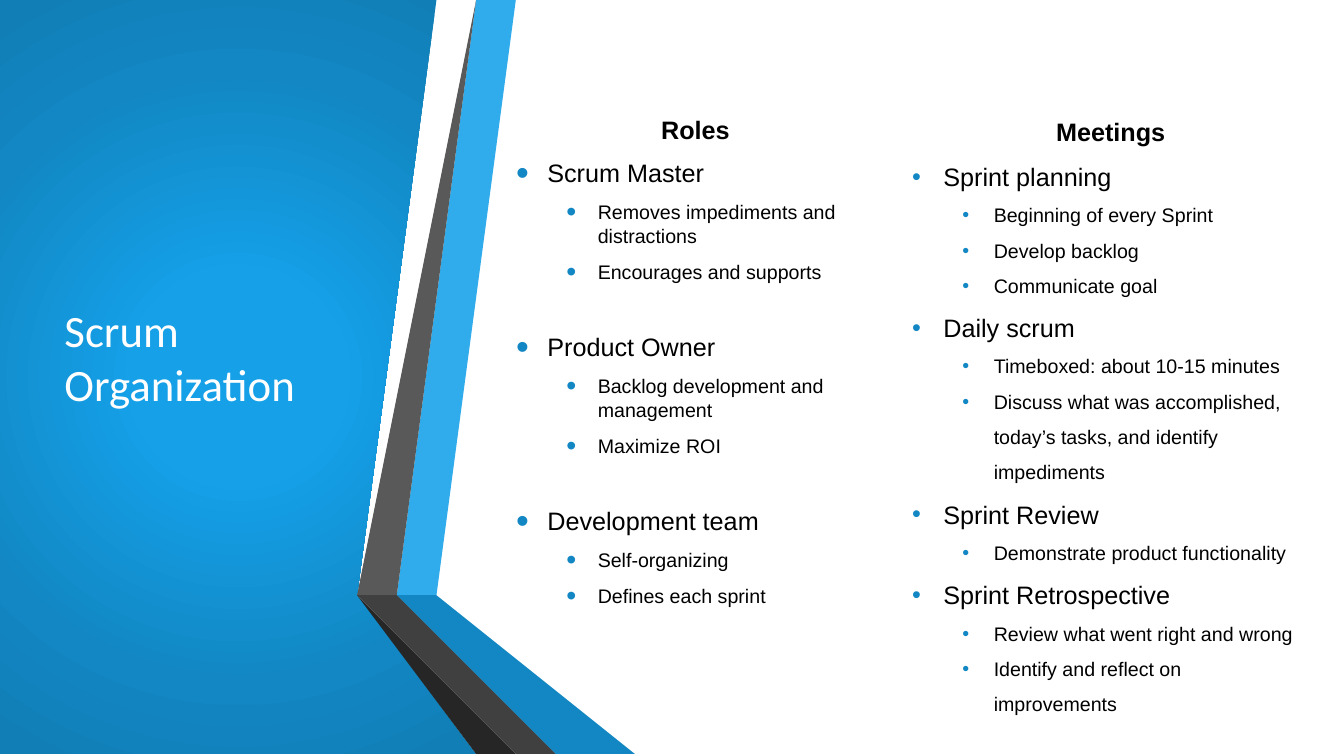
from lxml import etree
from pptx import Presentation
from pptx import util as u
from pptx.dml import color
from pptx.enum import text
from pptx.oxml import ns

WIDTH, HEIGHT = 33.87, 19.05
BLUE, BLACK, WHITE = "1287C3", "000000", "FFFFFF"
PANEL_STOPS = [(0, "15A0E8"), (23, "15A0E8"), (69, BLUE), (97, "117EB6")]

PANEL = [(0, 0), (11.4, 0), (9.04, 14.62), (12.24, HEIGHT), (0, HEIGHT)]
RIBBONS = [
    ("30ACEC", [(0.84, 14.68), (1.52, 14.81), (3.96, 0), (3.25, 0)]),
    ("595959", [(3.1, 0), (2.39, 0), (0, 14.55), (0.69, 14.66)]),
    ("262626", [(0, 14.55), (3.25, HEIGHT), (3.4, HEIGHT)]),
    ("0C5A82", [(0.84, 14.7), (4.88, HEIGHT), (5, HEIGHT)]),
    (BLUE, [(0.84, 14.7), (5, HEIGHT), (6.76, HEIGHT), (1.52, 14.81), (0.84, 14.68)]),
    ("404040", [(4.7, HEIGHT), (0.81, 14.81), (0.66, 14.68), (0.69, 14.66),
                (0, 14.55), (3.4, HEIGHT)]),
]

ROLES = [
    ("Scrum Master", ["Removes impediments and distractions", "Encourages and supports"]),
    ("Product Owner", ["Backlog development and management", "Maximize ROI"]),
    ("Development team", ["Self-organizing", "Defines each sprint"]),
]
MEETINGS = [
    ("Sprint planning", ["Beginning of every Sprint", "Develop backlog", "Communicate goal"]),
    ("Daily scrum", ["Timeboxed: about 10-15 minutes",
                     "Discuss what was accomplished, today’s tasks, and identify impediments"]),
    ("Sprint Review", ["Demonstrate product functionality"]),
    ("Sprint Retrospective", ["Review what went right and wrong",
                              "Identify and reflect on improvements"]),
]


def rgb(value):
    return color.RGBColor.from_string(value)


def add_child(parent, tag, **attributes):
    return etree.SubElement(parent, ns.qn(tag), {k: str(v) for k, v in attributes.items()})


def place(shape, box):
    shape.left, shape.top, shape.width, shape.height = (u.Cm(length) for length in box)


def draw_outline(slide, points, fill, left=0):
    moved = [(left + x, y) for x, y in points]
    builder = slide.shapes.build_freeform(*moved[0], scale=u.Cm(1))
    builder.add_line_segments(moved[1:], close=True)
    outline = builder.convert_to_shape()
    outline.shadow.inherit = False
    outline.line.fill.background()
    outline.fill.solid()
    outline.fill.fore_color.rgb = rgb(fill)
    return outline


def draw_panel(slide):
    panel = draw_outline(slide, PANEL, BLUE)
    solid = panel._element.spPr.find(ns.qn("a:solidFill"))
    gradient = etree.Element(ns.qn("a:gradFill"), rotWithShape="1")
    stops = add_child(gradient, "a:gsLst")
    for percent, shade in PANEL_STOPS:
        add_child(add_child(stops, "a:gs", pos=percent * 1000), "a:srgbClr", val=shade)
    circle = add_child(gradient, "a:path", path="circle")
    add_child(circle, "a:fillToRect", l=50000, t=50000, r=50000, b=50000)
    solid.getparent().replace(solid, gradient)
    slide.shapes._spTree.insert(2, panel._element)


def draw_ribbons(slide, left):
    for fill, points in RIBBONS:
        draw_outline(slide, points, fill, left)


def write_title(title, box):
    place(title, box)
    frame = title.text_frame
    frame.text = "Scrum Organization"
    frame.auto_size = text.MSO_AUTO_SIZE.NONE
    frame.vertical_anchor = text.MSO_ANCHOR.MIDDLE
    heading = frame.paragraphs[0]
    heading.alignment = text.PP_ALIGN.LEFT
    heading.line_spacing = 1
    heading.font.name, heading.font.size = "Calibri", u.Pt(32)
    heading.font.color.rgb = rgb(WHITE)


def set_bullet(paragraph, indent, bullet_size):
    properties = paragraph._p.get_or_add_pPr()
    properties.set("marL", str(u.Cm(indent)))
    properties.set("indent", str(u.Cm(-0.79 if indent else 0)))
    if not indent:
        add_child(properties, "a:buNone")
        return
    add_child(add_child(properties, "a:buClr"), "a:srgbClr", val=BLUE)
    add_child(properties, "a:buSzPct", val=bullet_size * 1000)
    add_child(properties, "a:buFont", typeface="Arial")
    add_child(properties, "a:buChar", char="•")


def write_column(column, box, heading, topics, anchor, line_spacing,
                 before=0, after=0, topic_gap=0, bullet_size=100):
    place(column, box)
    frame = column.text_frame
    frame.word_wrap = True
    frame.auto_size = text.MSO_AUTO_SIZE.NONE
    frame.vertical_anchor = anchor
    lines = [(heading, 0, 0, 18, 0)]
    for number, (topic, details) in enumerate(topics):
        lines.append((topic, 0, 0.79, 18, topic_gap if number else 0))
        lines += [(detail, 1, 2.06, 14, 0) for detail in details]
    for number, (words, level, indent, size, gap) in enumerate(lines):
        paragraph = frame.add_paragraph() if number else frame.paragraphs[0]
        paragraph.text = words
        paragraph.level = level
        paragraph.alignment = text.PP_ALIGN.LEFT if indent else text.PP_ALIGN.CENTER
        paragraph.line_spacing = line_spacing
        paragraph.space_before = u.Pt(round(size * before + gap, 1))
        paragraph.space_after = u.Pt(after)
        paragraph.font.name, paragraph.font.size = "Arial", u.Pt(size)
        paragraph.font.bold = not indent
        paragraph.font.color.rgb = rgb(BLACK)
        set_bullet(paragraph, indent, bullet_size)


def build_organization_slide(deck):
    slide = deck.slides.add_slide(deck.slide_layouts[3])
    title, roles, meetings = slide.placeholders
    draw_panel(slide)
    draw_ribbons(slide, 9.22)
    write_title(title, (1.37, 1.9, 7.62, 14.17))
    write_column(roles, (12.75, 2.41, 9.55, 13.36), "Roles", ROLES,
                 text.MSO_ANCHOR.MIDDLE, 1, before=0.2, after=6,
                 topic_gap=25, bullet_size=145)
    write_column(meetings, (22.73, 2.41, 10.52, 14.88), "Meetings", MEETINGS,
                 text.MSO_ANCHOR.TOP, 1.5)


def main():
    deck = Presentation()
    deck.slide_width, deck.slide_height = u.Cm(WIDTH), u.Cm(HEIGHT)
    build_organization_slide(deck)
    deck.save("out.pptx")


if __name__ == "__main__":
    main()
